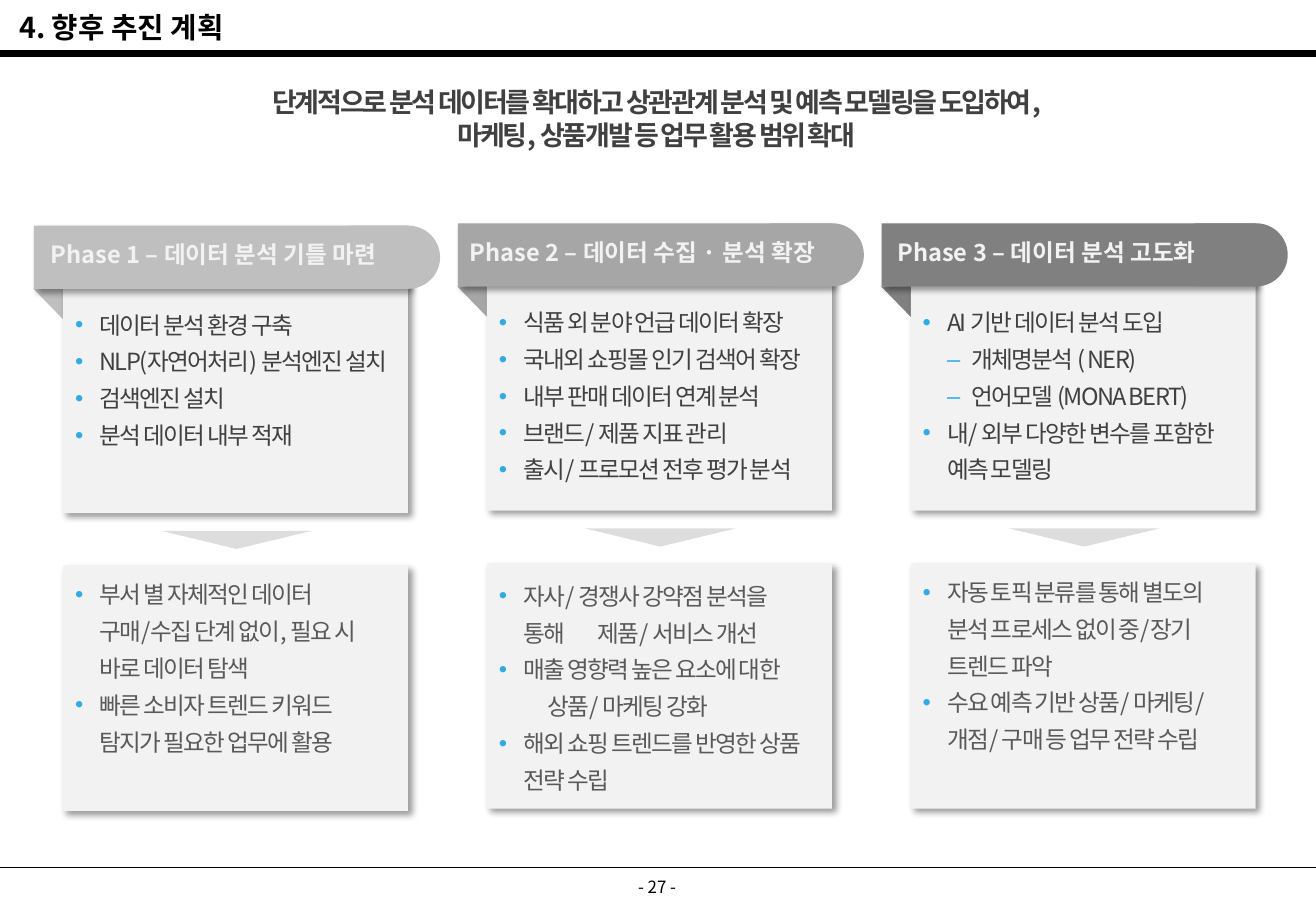
from copy import deepcopy

from pptx import Presentation
from pptx import util as u
from pptx.dml import color
from pptx.enum import shapes, text
from pptx.oxml import ns, parse_xml

Cm = u.Cm
FONT = "Noto Sans CJK KR"
KIND = shapes.MSO_SHAPE
MID = text.PP_ALIGN.CENTER
HANG = 0.51  # bullet indent, cm


def rgb(code):
    return color.RGBColor.from_string(code)


def xml(body):
    """Parse one DrawingML element, given without its namespace."""
    tag, rest = body.split(" ", 1)
    return parse_xml(f'<a:{tag} {ns.nsdecls("a")} {rest}')


def box(slide, kind, x, y, w, h, fill, turn=0, adj=None, shade=False, alpha=None):
    """A plain filled shape, with a soft shadow if asked for."""
    part = slide.shapes.add_shape(kind, Cm(x), Cm(y), Cm(w), Cm(h))
    part.shadow.inherit = False
    part.fill.solid()
    part.fill.fore_color.rgb = rgb(fill)
    part.line.fill.background()
    part.rotation = turn
    if adj is not None:
        part.adjustments[0] = adj
    if shade:
        glow = part._element.spPr.find(ns.qn("a:effectLst"))
        glow.append(xml(
            'outerShdw blurRad="50800" dist="38100" dir="2700000" algn="tl" rotWithShape="0">'
            '<a:srgbClr val="000000"><a:alpha val="40000"/></a:srgbClr></a:outerShdw>'))
    if alpha:
        tint = part._element.spPr.find(ns.qn("a:solidFill"))[0]
        tint.append(xml(f'alpha val="{alpha * 1000}"/>'))


def rule(slide, y, wide, width):
    """A black line across the slide."""
    line = slide.shapes.add_connector(shapes.MSO_CONNECTOR.STRAIGHT, 0, Cm(y), wide, Cm(y))
    line.line.color.rgb = rgb("000000")
    line.line.width = u.Pt(width)
    line._element.spPr.append(xml("effectLst />"))


def write(para, words, size, tone, bold=False, space=None, edge=None):
    """Styled text; a newline becomes a line break of the same style."""
    for i, piece in enumerate(words.split("\n")):
        if i:
            para.add_line_break()
            para._p.findall(ns.qn("a:br"))[-1].append(deepcopy(props))
        run = para.add_run()
        run.text = piece
        for key, value in {"size": u.Pt(size), "bold": bold, "name": FONT}.items():
            setattr(run.font, key, value)
        run.font.color.rgb = rgb(tone)
        props = run._r.get_or_add_rPr()
        props.set("kern", "0")
        props.append(xml(f'ea typeface="{FONT}"/>'))
        if space:
            props.set("spc", str(space))
        if edge:
            props.insert(0, xml(
                f'ln w="3175"><a:solidFill><a:srgbClr val="{edge}"><a:alpha val="30000"/>'
                '</a:srgbClr></a:solidFill></a:ln>'))


def frame(slide, x, y, w, h, **format):
    """An empty text frame."""
    body = slide.shapes.add_textbox(Cm(x), Cm(y), Cm(w), Cm(h)).text_frame
    for key, value in {"word_wrap": True, **format}.items():
        setattr(body, key, value)
    return body


def lines(body, rows, align=None, **style):
    """Plain paragraphs."""
    for i, row in enumerate(rows):
        para = body.add_paragraph() if i else body.paragraphs[0]
        para.alignment = align
        write(para, row, **style)


def points(slide, x, y, w, h, rows, tone):
    """Bullets: "–" marks a second level, ">" an indented line with no bullet."""
    body = frame(slide, x, y, w, h, auto_size=text.MSO_AUTO_SIZE.SHAPE_TO_FIT_TEXT)
    for i, row in enumerate(rows):
        mark = row[0] if row[0] in "–>" else "•"
        para = body.add_paragraph() if i else body.paragraphs[0]
        para.line_spacing = 1.3
        para.level = int(mark == "–")
        props = para._p.get_or_add_pPr()
        props.set("marL", str(Cm(HANG if mark == "•" else 2 * HANG)))
        props.set("indent", str(0 if mark == ">" else -Cm(HANG)))
        if mark != ">":
            props.append(xml('buClr ><a:srgbClr val="30ACE2"/></a:buClr>'))
            props.append(xml('buFont typeface="Arial"/>'))
            props.append(xml(f'buChar char="{mark}"/>'))
        if "\t" in row:
            props.append(xml(f'tabLst ><a:tab pos="{Cm(2.06)}" algn="l"/></a:tabLst>'))
        write(para, row.lstrip("–>"), 14, tone, space=-100, edge="404040")


def phase(slide, x, y, tone, name, shift, plan, gain, drop=0):
    """One column; x is the left of its cards, y the top of its banner."""
    # Plan card with folded corner
    box(slide, KIND.RIGHT_TRIANGLE, x - 0.62, y + 1.32, 1.04, 1.07, tone, turn=180)
    box(slide, KIND.RECTANGLE, x, y + 0.91, 7.21, 5.1, "F2F2F2", shade=True)
    points(slide, x, y + 1.47, 7.23, 4.06, plan, "404040")
    # Banner with round end
    box(slide, KIND.ROUNDED_RECTANGLE, x - 0.61, y, 7.82, 1.32, tone, adj=0, shade=True)
    box(slide, KIND.ROUNDED_RECTANGLE, x + 5.37, y, 2.51, 1.32, tone, adj=0.5)
    lines(frame(slide, x - shift, y + 0.18, 8.6, 0.86), [name],
          size=14, tone="F2F2F2", bold=True, edge="F2F2F2")
    # Arrow and gain card
    box(slide, KIND.RECTANGLE, x, y + 7.11, 7.21, 5.13, "F2F2F2", shade=True)
    box(slide, KIND.ISOSCELES_TRIANGLE, x + 2.05, y + 6.38, 3.15, 0.38, "8F9191",
        turn=180, adj=0.5, alpha=30)
    points(slide, x, y + 7.11 + drop, 7.23, 4.06, gain, "595959")


def page(slide, wide):
    """Title, headline, rules and page number."""
    rule(slide, 18.14, wide, 0.75)
    rule(slide, 1.12, wide, 4.5)
    lines(frame(slide, 0.15, 0.08, 26.6, 0.99), ["4. 향후 추진 계획"],
          size=17, tone="000000", bold=True)
    lines(frame(slide, 10.52, 18.21, 6.43, 0.84), ["- 27 -"], MID, size=10, tone="000000")
    head = frame(slide, 0, 1.47, 27.46, 2.01, vertical_anchor=text.MSO_ANCHOR.MIDDLE,
                 margin_left=0, margin_right=0, margin_top=0, margin_bottom=0)
    lines(head, ["단계적으로 분석 데이터를 확대하고 상관관계 분석 및 예측 모델링을 도입하여,",
                 "마케팅, 상품개발 등 업무 활용 범위 확대"],
          MID, size=16, tone="404040", bold=True, space=-130)


PHASES = [
    dict(y=4.72, tone="BFBFBF", name="Phase 1 – 데이터 분석 기틀 마련", shift=0.51,
         plan=["데이터 분석 환경 구축", "NLP(자연어처리) 분석엔진 설치",
               "검색엔진 설치", "분석 데이터 내부 적재"],
         gain=["부서 별 자체적인 데이터 구매/수집 단계 없이, 필요 시 바로 데이터 탐색",
               "빠른 소비자 트렌드 키워드\n탐지가 필요한 업무에 활용"]),
    dict(y=4.67, tone="A6A6A6", name="Phase 2 – 데이터 수집 · 분석 확장", shift=0.61,
         plan=["식품 외 분야 언급 데이터 확장", "국내외 쇼핑몰 인기 검색어 확장",
               "내부 판매 데이터 연계 분석", "브랜드/ 제품 지표 관리",
               "출시/ 프로모션 전후 평가 분석"],
         gain=["자사/ 경쟁사 강약점 분석을\n통해\t제품/ 서비스 개선",
               "매출 영향력 높은 요소에 대한", ">상품/ 마케팅 강화",
               "해외 쇼핑 트렌드를 반영한 상품 전략 수립"], drop=0.08),
    dict(y=4.67, tone="808080", name="Phase 3 – 데이터 분석 고도화", shift=0.53,
         plan=["AI 기반 데이터 분석 도입", "–개체명분석 ( NER)",
               "–언어모델 (MONA BERT)", "내/ 외부 다양한 변수를 포함한 예측 모델링"],
         gain=["자동 토픽 분류를 통해 별도의 분석 프로세스 없이 중/장기 트렌드 파악",
               "수요 예측 기반 상품/ 마케팅/ 개점/ 구매 등 업무 전략 수립"]),
]


def main():
    deck = Presentation()
    deck.slide_width, deck.slide_height = Cm(27.51), Cm(19.05)
    slide = deck.slides.add_slide(deck.slide_layouts[6])
    page(slide, deck.slide_width)
    for i, item in enumerate(PHASES):
        phase(slide, 1.32 + 8.86 * i, **item)
    deck.save("out.pptx")


if __name__ == "__main__":
    main()
